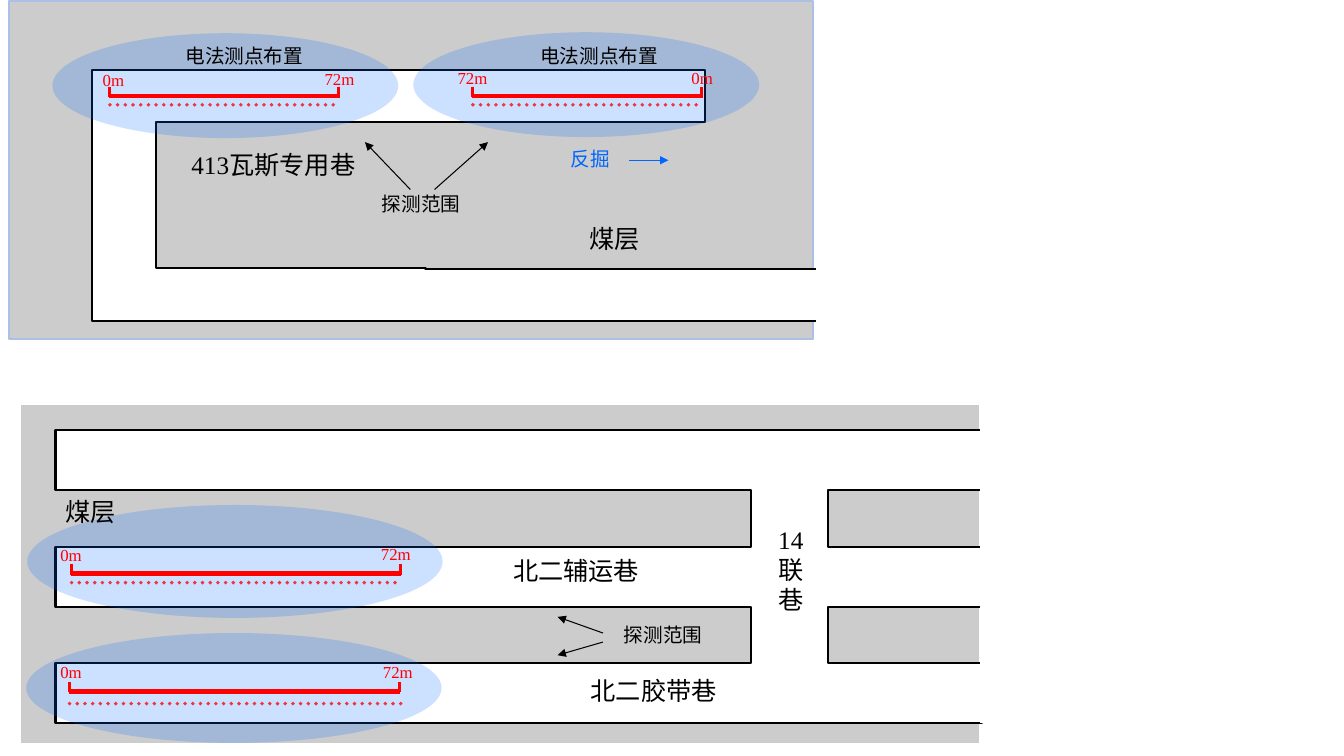
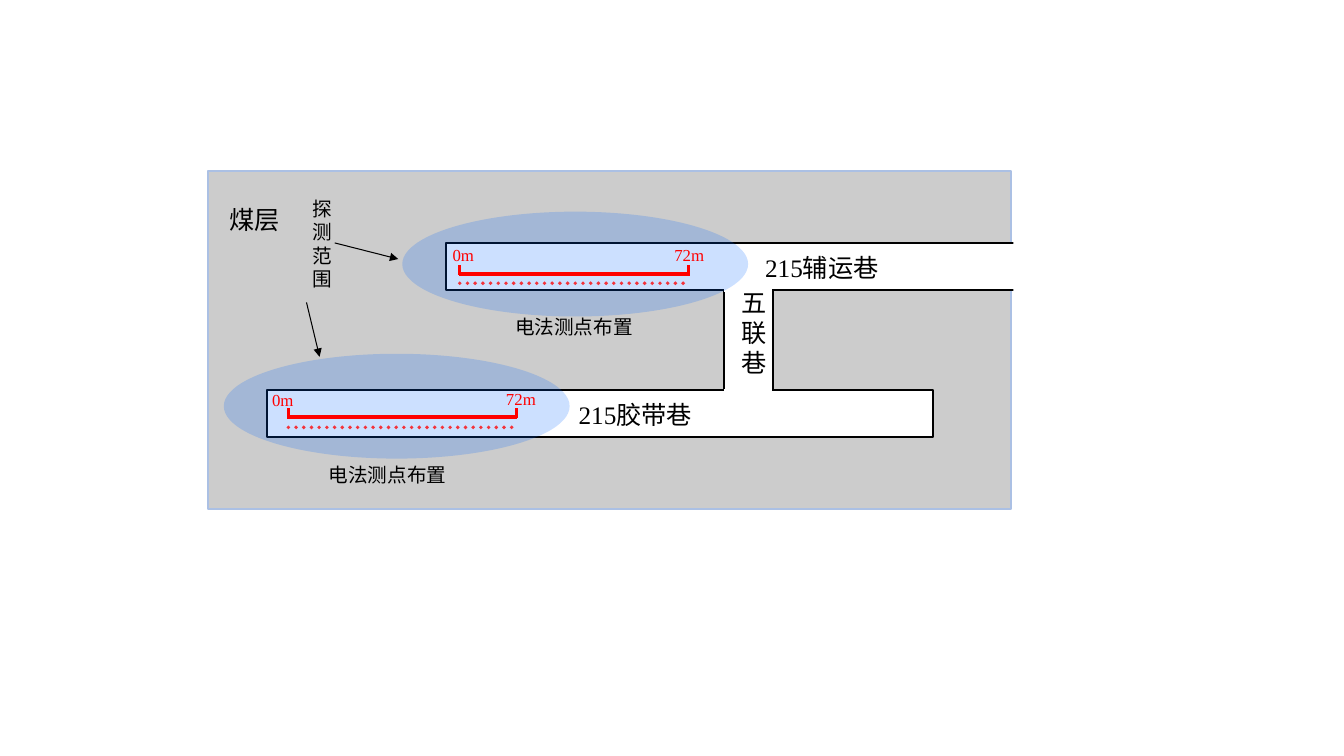
"""Build two mine-roadway plans showing electrical survey ranges."""
from dataclasses import dataclass

from lxml import etree
from pptx import Presentation
from pptx import util as u
from pptx.dml.color import RGBColor
from pptx.enum import dml, shapes, text
from pptx.oxml.ns import qn


@dataclass(frozen=True)
class Theme:
    coal: str = "808080"
    edge: str = "ABC0E4"
    white: str = "FFFFFF"
    ink: str = "000000"
    zone: str = "0066FF"
    probe: str = "FF0000"
    latin: str = "Times New Roman"
    cjk: str = "Noto Sans CJK SC"
    title: int = 18
    note: int = 14
    mark: int = 12


T = Theme()
RECT, OVAL = shapes.MSO_SHAPE.RECTANGLE, shapes.MSO_SHAPE.OVAL
SLAB = (7.97, 3.35)
ZONE = (3.43, 1.04)

ROAD_ROWS = [(4.27, 4.86), (5.43, 6.02), (6.58, 7.17)]
LEFT, CROSS_L, CROSS_R, RIGHT = 0.55, 7.45, 8.21, 9.74
TRIPLE_ROAD = [(x, y) for top, low in ROAD_ROWS
               for x, y in ((CROSS_R, top), (RIGHT, top), (RIGHT, low), (CROSS_R, low))]
TRIPLE_ROAD += [(x, y) for top, low in reversed(ROAD_ROWS)
                for x, y in ((CROSS_L, low), (LEFT, low), (LEFT, top), (CROSS_L, top))]
GAS_ROAD = [(0.91, 0.69), (6.99, 0.69), (6.99, 1.21), (1.55, 1.21), (1.55, 2.66), (4.22, 2.66),
            (4.22, 2.67), (8.12, 2.67), (8.12, 3.18), (0.91, 3.18)]

# A bar in a label marks where the CJK font starts.
PLANS = [
    {
        "slabs": [(0.21, 4.02, 9.5, 3.35, None), (0.09, 0.01, *SLAB, T.edge)],
        "outlines": [TRIPLE_ROAD, GAS_ROAD],
        "roads": [],
        "masks": [(9.74, 4.26, 9.74, 4.9, 3), (9.74, 5.41, 9.74, 6.05, 3),
                  (9.74, 6.53, 9.74, 7.17, 3), (8.11, 2.56, 8.11, 3.2, 3)],
        "covers": [],
        "surveys": [
            {"zone": (4.1, 0.32, *ZONE), "bar": (4.68, 6.97, 0.95), "gap": 0.09,
             "marks": [("72m", 4.44, 0.62), ("0m", 6.76, 0.62)]},
            {"zone": (0.52, 0.33, *ZONE), "bar": (1.08, 3.37, 0.95), "gap": 0.09,
             "marks": [("0m", 0.92, 0.64), ("72m", 3.12, 0.63)]},
            {"zone": (0.26, 6.28, 4.12, 1.09), "bar": (0.68, 3.97, 6.86), "gap": 0.12,
             "marks": [("0m", 0.5, 6.52), ("72m", 3.7, 6.52)]},
            {"zone": (0.27, 5.01, 4.12, 1.12), "bar": (0.7, 3.98, 5.69), "gap": 0.09,
             "marks": [("0m", 0.5, 5.36), ("72m", 3.68, 5.35)]},
        ],
        "arrows": [(4.07, 1.88, 3.62, 1.41, T.ink), (4.31, 1.88, 4.84, 1.41, T.ink),
                   (6.24, 1.59, 6.63, 1.59, T.zone), (5.98, 6.28, 5.53, 6.12, T.ink),
                   (5.98, 6.37, 5.53, 6.5, T.ink)],
        "labels": [
            ("|反掘", 5.56, 1.41, 1.36, 0.34, T.note, T.zone),
            ("北二胶带|巷", 5.76, 6.65, 2.65, 0.4, T.title, T.ink),
            ("探测范围", 6.09, 6.13, 1.06, 0.34, T.note, T.ink),
            ("14联|巷", 7.62, 5.15, 0.5, 1.01, T.title, T.ink),
            ("北二辅运|巷", 4.99, 5.46, 2.65, 0.4, T.title, T.ink),
            ("煤层", 0.55, 4.87, 2.65, 0.4, T.title, T.ink),
            ("|电法测点布置", 1.74, 0.39, 1.75, 0.34, T.note, T.ink),
            ("|电法测点布置", 5.26, 0.39, 1.94, 0.34, T.note, T.ink),
            ("413|瓦斯专用巷", 1.8, 1.43, 2.65, 0.4, T.title, T.ink),
            ("探测范围", 3.69, 1.86, 1.06, 0.34, T.note, T.ink),
            ("煤层", 5.75, 2.17, 2.65, 0.4, T.title, T.ink),
        ],
    },
    {
        "slabs": [(2.06, 1.7, *SLAB, T.edge)],
        "outlines": [],
        "roads": [(4.42, 2.41, 5.71, 0.47), (7.18, 2.89, 0.49, 0.98), (2.65, 3.87, 6.6, 0.47)],
        "masks": [(7.18, y, 7.66, y, 2) for y in (2.88, 3.87)],
        "covers": [(10.05, 2.18, 0.1, 0.76)],
        "surveys": [
            {"zone": (3.99, 2.1, *ZONE), "bar": (4.55, 6.84, 2.72), "gap": 0.09,
             "marks": [("0m", 4.39, 2.38), ("72m", 6.59, 2.38)]},
            {"zone": (2.22, 3.51, *ZONE), "bar": (2.85, 5.13, 4.14), "gap": 0.1,
             "marks": [("0m", 2.6, 3.82), ("72m", 4.92, 3.81)]},
        ],
        "arrows": [(3.04, 3, 3.17, 3.54, T.ink), (3.32, 2.41, 3.95, 2.57, T.ink)],
        "labels": [
            ("|电法测点布置", 5.01, 3.08, 1.75, 0.34, T.note, T.ink),
            ("探测范围", 3, 1.9, 0.34, 1.14, T.note, T.ink),
            ("煤层", 2.18, 1.98, 2.65, 0.4, T.title, T.ink),
            ("215胶带|巷", 5.64, 3.91, 2.65, 0.4, T.title, T.ink),
            ("215|辅运巷", 7.49, 2.45, 2.65, 0.4, T.title, T.ink),
            ("五联|巷", 7.26, 2.8, 0.4, 1.11, T.title, T.ink),
            ("|电法测点布置", 3.16, 4.54, 1.75, 0.34, T.note, T.ink),
        ],
    },
]


def inches(*values):
    return [u.Inches(v) for v in values]


def set_alpha(fill, percent):
    color = fill._xPr.find(qn("a:solidFill"))[0]
    etree.SubElement(color, qn("a:alpha"), val=str(percent * 1000))


def paint(sp, fill, alpha=None, line=None):
    sp.shadow.inherit = False
    sp.fill.solid()
    sp.fill.fore_color.rgb = RGBColor.from_string(fill)
    if alpha:
        set_alpha(sp.fill, alpha)
    if line:
        sp.line.color.rgb = RGBColor.from_string(line)
        sp.line.width = u.Pt(1.5)
    else:
        sp.line.fill.background()


def add_box(tree, kind, at, fill, **style):
    paint(tree.add_shape(kind, *inches(*at)), fill, **style)


def add_outline(tree, points):
    points = [inches(*point) for point in points]
    builder = tree.build_freeform(*points[0])
    builder.add_line_segments(points[1:], close=True)
    paint(builder.convert_to_shape(), T.white, line=T.ink)


def add_line(tree, ends, color, width, dotted=False, arrow=False):
    cx = tree.add_connector(shapes.MSO_CONNECTOR.STRAIGHT, *inches(*ends))
    etree.SubElement(cx._element.spPr, qn("a:effectLst"))
    cx.line.color.rgb = RGBColor.from_string(color)
    cx.line.width = u.Pt(width)
    ln = cx.line._get_or_add_ln()
    if dotted:
        cx.line.dash_style = dml.MSO_LINE.ROUND_DOT
        ln.set("cap", "rnd")
        set_alpha(cx.line.fill, 77)
    if arrow:
        etree.SubElement(ln, qn("a:tailEnd"), type="triangle")


def add_text(tree, words, at, size, color):
    tf = tree.add_textbox(*inches(*at)).text_frame
    tf.word_wrap = True
    tf.auto_size = text.MSO_AUTO_SIZE.SHAPE_TO_FIT_TEXT
    tf.margin_right = 0
    p = tf.paragraphs[0]
    for part, font in zip(words.split("|"), (T.latin, T.cjk)):
        if part:
            r = p.add_run()
            r.text = part
            r.font.size = u.Pt(size)
            r.font.color.rgb = RGBColor.from_string(color)
            r.font.name = font
            etree.SubElement(r.font._element, qn("a:ea"), typeface=T.cjk)


def add_survey(tree, survey):
    group = tree.add_group_shape().shapes
    x0, x1, y = survey["bar"]
    dots = y + survey["gap"]
    add_box(group, OVAL, survey["zone"], T.zone, alpha=20)
    add_line(group, (x0, y, x1, y), T.probe, 3)
    add_line(group, (x0 + 0.01, dots, x1 + 0.01, dots), T.probe, 2.75, dotted=True)
    for x, (words, left, top) in zip((x0 + 0.01, x1 - 0.01), survey["marks"]):
        add_line(group, (x, y - 0.09, x, y + 0.01), T.probe, 2)
        add_text(group, words, (left, top, 0.71, 0.3), T.mark, T.probe)


def draw_plan(tree, plan):
    for *at, edge in plan["slabs"]:
        add_box(tree, RECT, at, T.coal, alpha=40, line=edge)
    for points in plan["outlines"]:
        add_outline(tree, points)
    for at in plan["roads"]:
        add_box(tree, RECT, at, T.white, line=T.ink)
    for *ends, width in plan["masks"]:
        add_line(tree, ends, T.white, width)
    for at in plan["covers"]:
        add_box(tree, RECT, at, T.white)
    for survey in plan["surveys"]:
        add_survey(tree, survey)
    for *ends, color in plan["arrows"]:
        add_line(tree, ends, color, 0.75, arrow=True)
    for words, *at, size, color in plan["labels"]:
        add_text(tree, words, at, size, color)


def main():
    prs = Presentation()
    prs.slide_width, prs.slide_height = inches(13.33, 7.5)
    for plan in PLANS:
        draw_plan(prs.slides.add_slide(prs.slide_layouts[6]).shapes, plan)
    prs.save("out.pptx")


if __name__ == "__main__":
    main()
